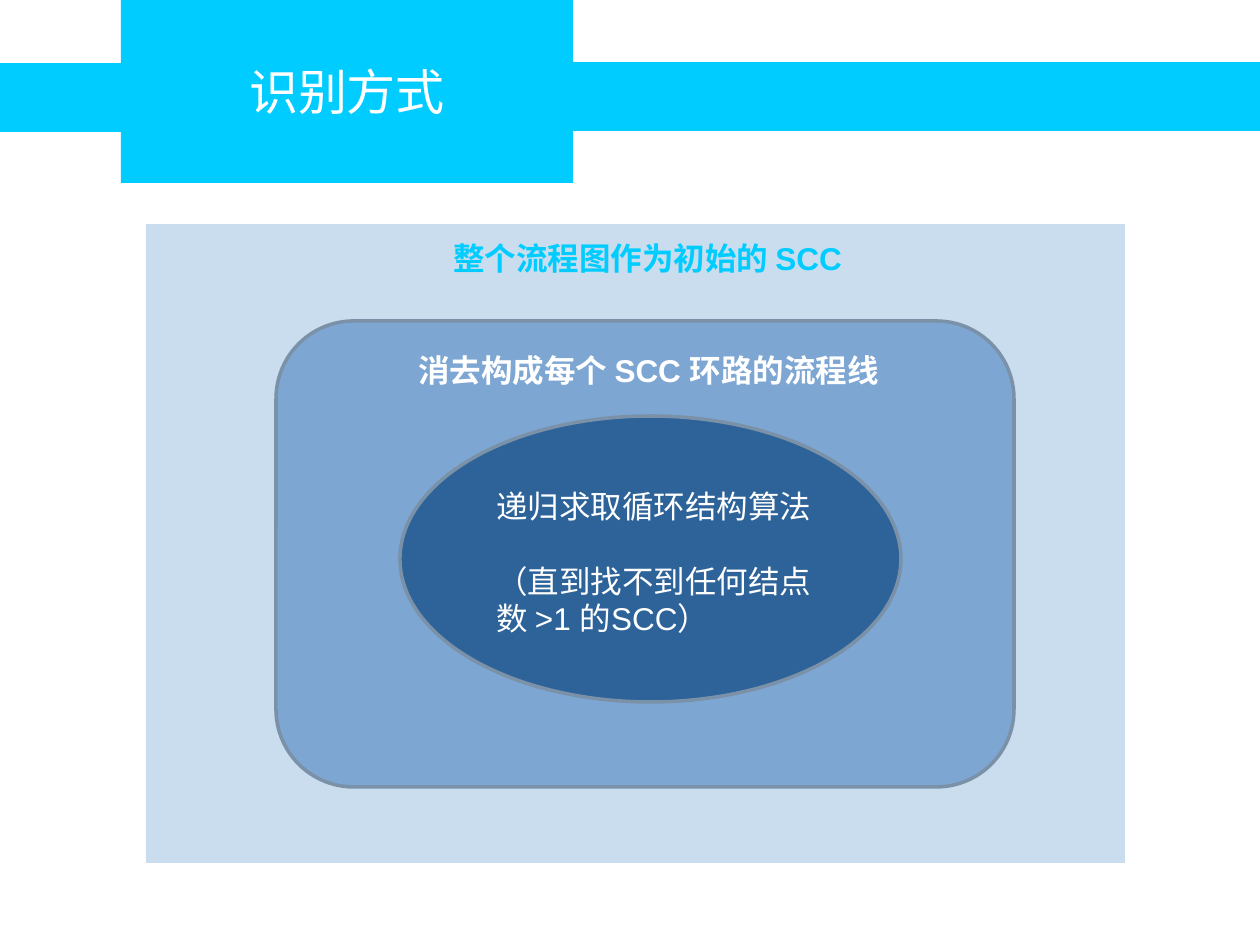
"""Build the slide on recognising loops: nested SCC stages under a title band."""
from dataclasses import dataclass

from pptx import Presentation
from pptx.dml.color import RGBColor
from pptx.enum.shapes import MSO_SHAPE
from pptx.enum.text import MSO_ANCHOR, PP_ALIGN
from pptx.util import Emu, Pt


@dataclass(frozen=True)
class Theme:
    font: str = "Arial"
    accent: str = "00CCFF"
    white: str = "FFFFFF"
    outer: str = "CADDEF"
    middle: str = "7DA6D3"
    inner: str = "2D6399"
    edge: str = "7A91A8"
    title: int = 28
    body: int = 18
    edge_width: int = 2
    para_gap: int = 21


T = Theme()
PX = 914400 / 126
SLIDE = (1260, 945)

BANDS = [(563, 62, 697, 69), (-14, 63, 144, 69)]
TITLE = ("识别方式", (121, -2, 452, 185))
STAGES = [
    dict(kind=MSO_SHAPE.RECTANGLE, box=(146, 224, 979, 639), fill=T.outer, edge=None,
         lines=["整个流程图作为初始的 SCC"], text_box=(441, 233, 438, 50),
         color=T.accent, bold=True),
    dict(kind=MSO_SHAPE.ROUNDED_RECTANGLE, box=(276, 321, 738, 466), fill=T.middle, edge=T.edge,
         lines=["消去构成每个 SCC 环路的流程线"], text_box=(406, 345, 562, 50),
         color=T.white, bold=True),
    dict(kind=MSO_SHAPE.OVAL, box=(400, 416, 501, 286), fill=T.inner, edge=T.edge,
         lines=["递归求取循环结构算法", "（直到找不到任何结点数 >1 的SCC）"],
         text_box=(484, 481, 344, 277), color=T.white, bold=False),
]


def emu(box):
    return [Emu(round(v * PX)) for v in box]


def add_shape(s, kind, box, fill, edge=None):
    sp = s.shapes.add_shape(kind, *emu(box))
    sp.shadow.inherit = False
    sp.fill.solid()
    sp.fill.fore_color.rgb = RGBColor.from_string(fill)
    if edge:
        sp.line.color.rgb = RGBColor.from_string(edge)
        sp.line.width = Pt(T.edge_width)
    else:
        sp.line.fill.background()
    return sp


def write(sp, lines, size, color, bold=False, align=PP_ALIGN.LEFT, anchor=MSO_ANCHOR.TOP):
    tf = sp.text_frame
    tf.word_wrap = True
    tf.vertical_anchor = anchor
    for i, line in enumerate(lines):
        p = tf.add_paragraph() if i else tf.paragraphs[0]
        p.text = line
        p.alignment = align
        if i:
            p.space_before = Pt(T.para_gap)
        p.font.name = T.font
        p.font.size = Pt(size)
        p.font.bold = bold
        p.font.color.rgb = RGBColor.from_string(color)


def main():
    prs = Presentation()
    prs.slide_width, prs.slide_height = emu(SLIDE)
    s = prs.slides.add_slide(prs.slide_layouts[6])

    for box in BANDS:
        add_shape(s, MSO_SHAPE.RECTANGLE, box, T.accent)
    text, box = TITLE
    sp = add_shape(s, MSO_SHAPE.RECTANGLE, box, T.accent)
    write(sp, [text], T.title, T.white, align=PP_ALIGN.CENTER, anchor=MSO_ANCHOR.MIDDLE)

    for stage in STAGES:
        add_shape(s, stage["kind"], stage["box"], stage["fill"], stage["edge"])
        sp = s.shapes.add_textbox(*emu(stage["text_box"]))
        write(sp, stage["lines"], T.body, stage["color"], stage["bold"])

    prs.save("out.pptx")


if __name__ == "__main__":
    main()
